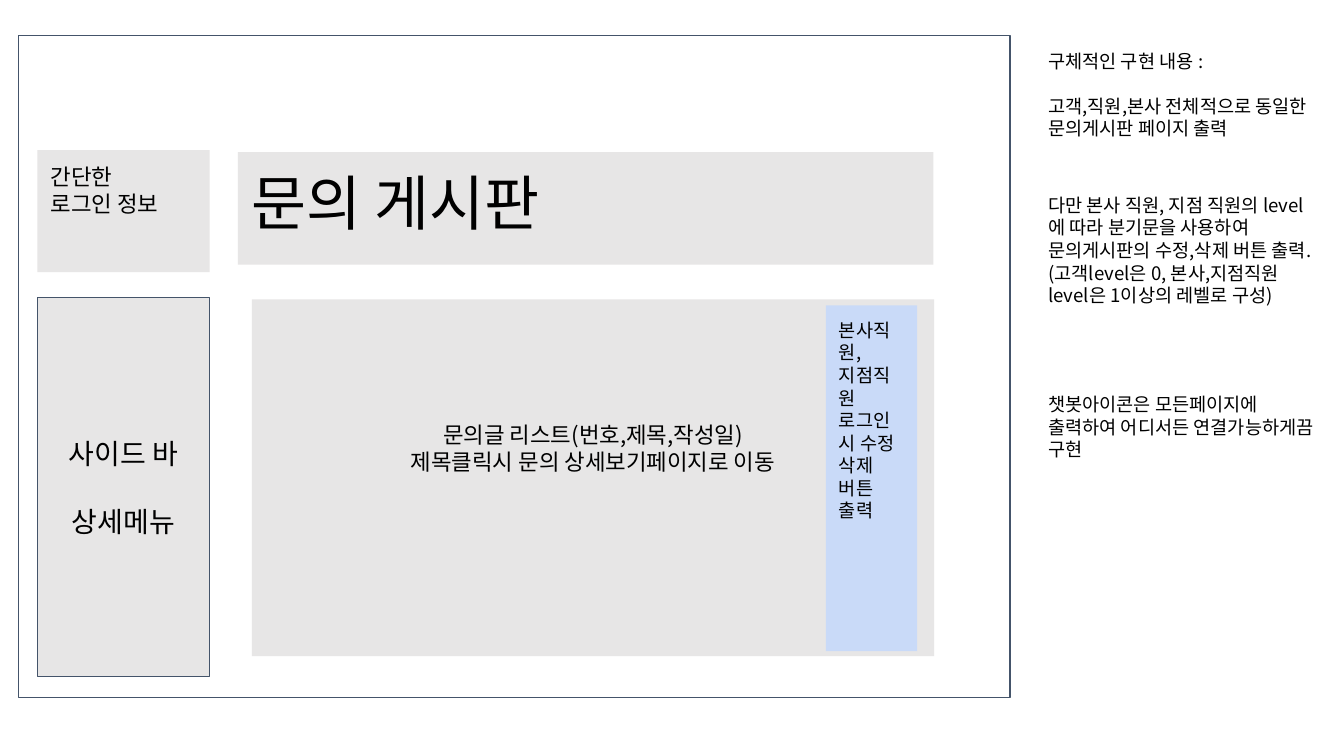
"""Build the inquiry board wireframe slide with its implementation notes."""
from dataclasses import dataclass
from typing import Optional

from lxml import etree
from pptx import Presentation
from pptx import util as u
from pptx.dml.color import RGBColor
from pptx.enum import shapes, text
from pptx.oxml.ns import qn

FONT = "Noto Sans CJK KR"
LINE_HEIGHT = 1.21
INSET = 9.4
COLORS = {"white": "FFFFFF", "panel": "E7E6E6", "staff": "C9DAF8",
          "outline": "44546A", "ink": "000000"}


@dataclass(frozen=True)
class Panel:
    left: float
    top: float
    width: float
    height: float
    fill: str
    lines: tuple[str, ...] = ()
    size: float = 16
    outlined: bool = False
    centered: bool = False
    middle: bool = False
    gap_before: Optional[int] = None
    top_inset: float = INSET


def note(top: float, height: float, *lines: str, gap_before: Optional[int] = None) -> Panel:
    return Panel(739.4, top, 208.8, height, "white", lines, 13.3, gap_before=gap_before)


PANELS = (
    Panel(13, 25.2, 708.5, 473, "white", outlined=True),
    Panel(170, 108.7, 496.8, 80.3, "panel", ("문의 게시판",), 42.7),
    Panel(26.7, 107.2, 123.1, 87.1, "panel", ("간단한", "로그인 정보")),
    Panel(26.7, 212.4, 123.1, 270.7, "panel", ("사이드 바", "상세메뉴"), 20,
          outlined=True, centered=True, middle=True, gap_before=1),
    Panel(180, 213.8, 487.2, 254.9, "panel",
          ("문의글 리스트(번호,제목,작성일)", "제목클릭시 문의 상세보기페이지로 이동"),
          centered=True, top_inset=INSET + 4 * 16 * LINE_HEIGHT),
    Panel(589.9, 218.2, 65.3, 247, "staff",
          ("본사직원, 지점직원 로그인시 수정 삭제", "버튼 출력"), 13.3),
    note(25.9, 87.1, "구체적인 구현 내용 :",
         "고객,직원,본사 전체적으로 동일한 문의게시판 페이지 출력", gap_before=1),
    note(128.9, 126.7, "다만 본사 직원, 지점 직원의 level에 따라 분기문을 사용하여",
         "문의게시판의 수정,삭제 버튼 출력.",
         "(고객level은 0, 본사,지점직원 level은 1이상의 레벨로 구성)"),
    note(271.4, 74.2, "챗봇아이콘은 모든페이지에 출력하여 어디서든 연결가능하게끔 구현"),
)


def color(name: str) -> RGBColor:
    return RGBColor.from_string(COLORS[name])


def write_lines(frame, panel: Panel) -> None:
    frame.word_wrap = True
    frame.margin_left = frame.margin_right = frame.margin_bottom = u.Pt(INSET)
    frame.margin_top = u.Pt(panel.top_inset)
    frame.vertical_anchor = text.MSO_ANCHOR.MIDDLE if panel.middle else text.MSO_ANCHOR.TOP
    frame.text = "\n".join(panel.lines)
    pitch = u.Pt(panel.size * LINE_HEIGHT)
    for index, para in enumerate(frame.paragraphs):
        para.alignment = text.PP_ALIGN.CENTER if panel.centered else text.PP_ALIGN.LEFT
        para.line_spacing = pitch
        if index == panel.gap_before:
            para.space_before = pitch
        for span in para.runs:
            span.font.size = u.Pt(panel.size)
            span.font.name = FONT
            span.font.color.rgb = color("ink")
            etree.SubElement(span.font._element, qn("a:ea"), typeface=FONT)


def draw_panel(page, panel: Panel) -> None:
    bounds = (u.Pt(n) for n in (panel.left, panel.top, panel.width, panel.height))
    box = page.shapes.add_shape(shapes.MSO_SHAPE.RECTANGLE, *bounds)
    box.shadow.inherit = False
    box.fill.solid()
    box.fill.fore_color.rgb = color(panel.fill)
    if panel.outlined:
        box.line.color.rgb = color("outline")
        box.line.width = u.Pt(0.75)
    else:
        box.line.fill.background()
    if panel.lines:
        write_lines(box.text_frame, panel)


def main() -> None:
    deck = Presentation()
    deck.slide_width, deck.slide_height = u.Pt(960), u.Pt(540)
    page = deck.slides.add_slide(deck.slide_layouts[6])
    for panel in PANELS:
        draw_panel(page, panel)
    deck.save("out.pptx")


if __name__ == "__main__":
    main()
